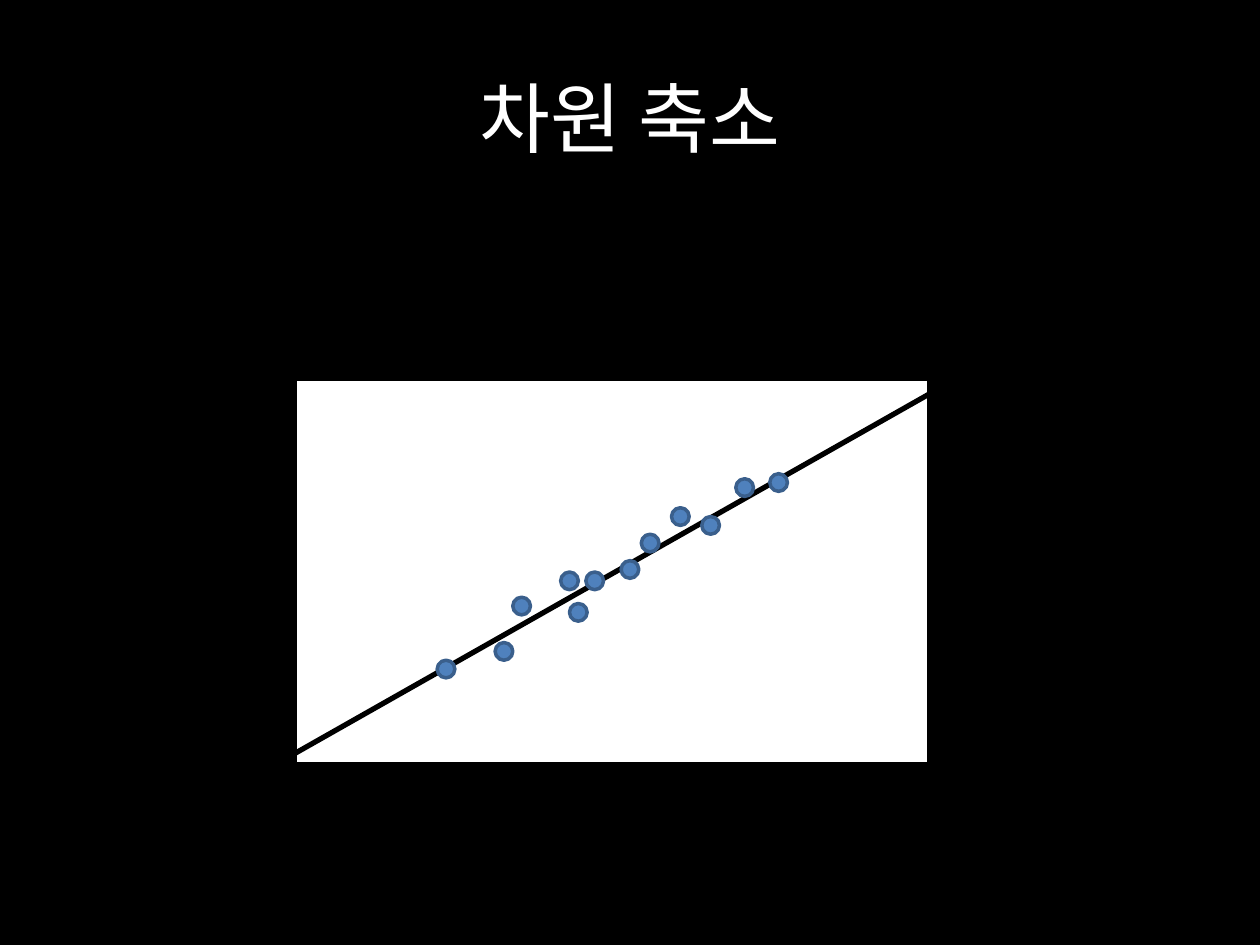
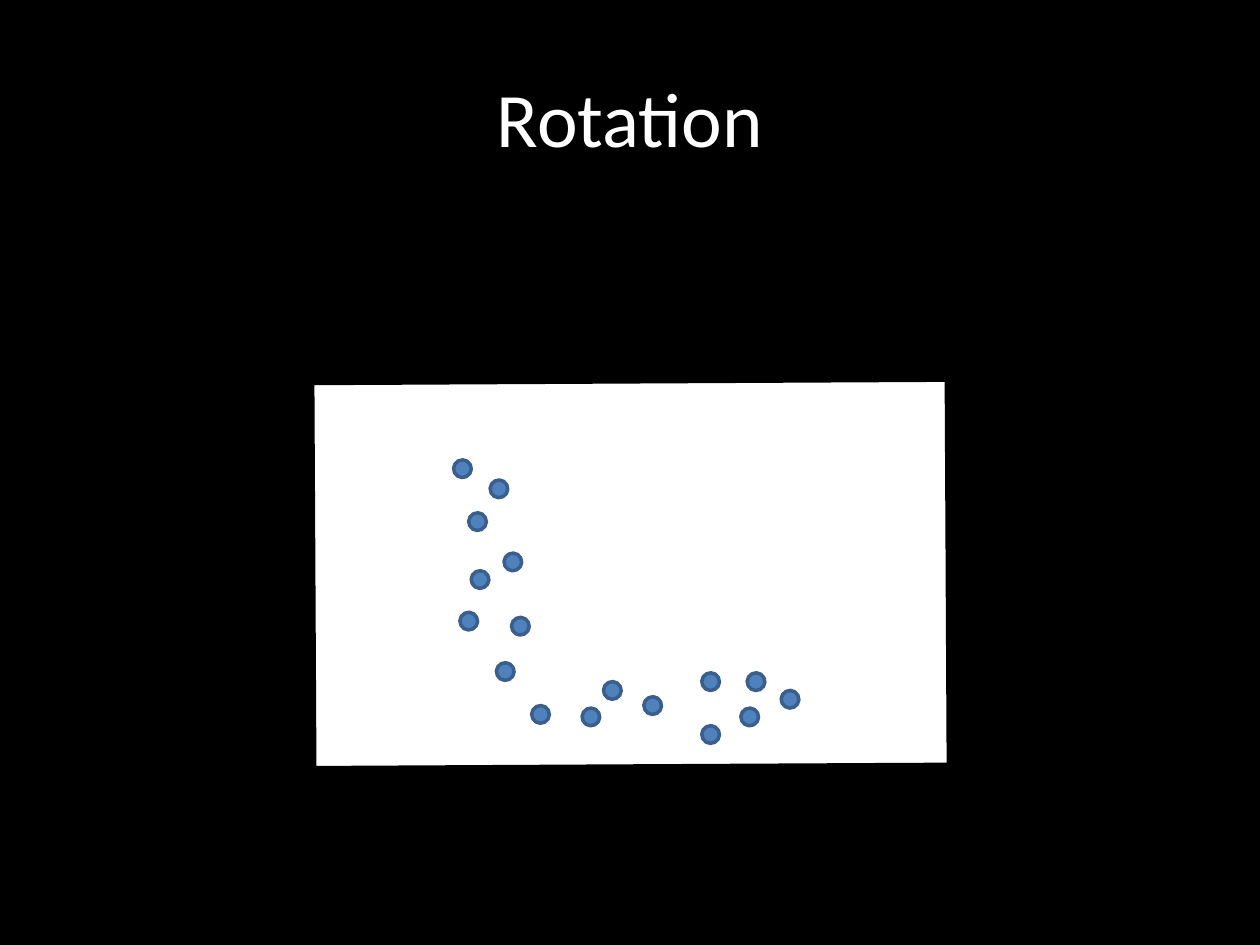
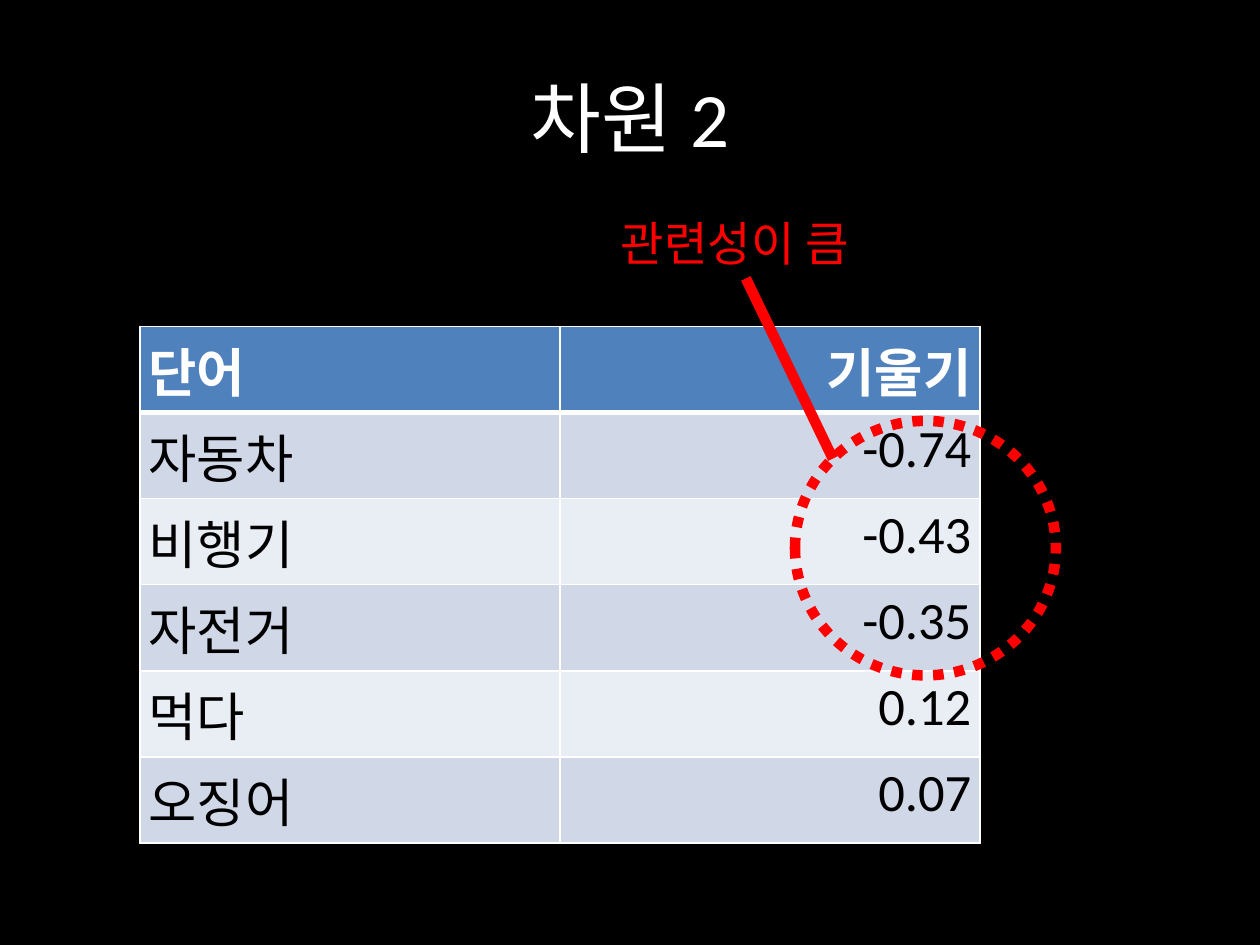
"""Build three slides on dimension reduction, rotation and word loadings."""
from lxml import etree
from pptx import Presentation
from pptx.dml.color import RGBColor
from pptx.enum.dml import MSO_LINE
from pptx.enum.shapes import MSO_CONNECTOR, MSO_SHAPE
from pptx.enum.text import MSO_ANCHOR, MSO_AUTO_SIZE, PP_ALIGN
from pptx.oxml.ns import qn
from pptx.util import Inches, Pt

RECTANGLE, OVAL = MSO_SHAPE.RECTANGLE, MSO_SHAPE.OVAL
STRAIGHT = MSO_CONNECTOR.STRAIGHT
DOTTED = MSO_LINE.ROUND_DOT
LEFT, CENTER, RIGHT = PP_ALIGN.LEFT, PP_ALIGN.CENTER, PP_ALIGN.RIGHT
MIDDLE = MSO_ANCHOR.MIDDLE
FIT_TEXT = MSO_AUTO_SIZE.SHAPE_TO_FIT_TEXT
BOTTOM_SIDE = 2

FONT = "Calibri"
BLACK, WHITE, RED = "000000", "FFFFFF", "FF0000"
BLUE, DARK_BLUE = "4F81BD", "3A5F8C"
BAND_COLORS = ("D0D8E8", "E9EDF4")

DOT_SIZE = 0.14
PLOT_WIDTH, PLOT_HEIGHT = 5.03, 3.05
TABLE_LEFT, TABLE_TOP, TABLE_WIDTH, TABLE_HEIGHT = 1.11, 2.59, 6.67, 3.45

CORRELATED_DOTS = [
    (3.47, 5.24), (3.93, 5.1), (4.52, 4.79), (4.45, 4.54), (4.07, 4.74),
    (4.93, 4.45), (4.65, 4.54), (5.09, 4.24), (5.57, 4.1), (5.84, 3.8),
    (5.33, 4.03), (6.11, 3.76),
]
ROTATED_DOTS = [
    (3.6, 3.65), (3.89, 3.81), (4.62, 5.62), (5.11, 5.53), (4.79, 5.41),
    (4.06, 4.9), (3.94, 5.26), (4.22, 5.6), (3.65, 4.86), (3.72, 4.07),
    (3.74, 4.53), (4, 4.39), (5.57, 5.34), (5.57, 5.76), (5.88, 5.62),
    (5.93, 5.34), (6.2, 5.48),
]
WORD_SLOPES = [
    ("단어", "기울기"),
    ("자동차", "-0.74"),
    ("비행기", "-0.43"),
    ("자전거", "-0.35"),
    ("먹다", "0.12"),
    ("오징어", "0.07"),
]


def rgb(color):
    """Turn a hex string into a colour."""
    return RGBColor.from_string(color)


def paint_line(line, color, width):
    """Set the colour and the width of a line."""
    line.color.rgb = rgb(color)
    line.width = Pt(width)


def write(frame, text, size, color, align=LEFT, bold=False):
    """Write one run into the first paragraph of a text frame."""
    paragraph = frame.paragraphs[0]
    paragraph.alignment = align
    run = paragraph.add_run()
    run.text = text
    run.font.name = FONT
    run.font.size = Pt(size)
    run.font.bold = bold
    run.font.color.rgb = rgb(color)


def add_titled_slide(prs, text):
    """Add a title-only slide with the shared title style."""
    slide = prs.slides.add_slide(prs.slide_layouts[5])
    title = slide.shapes.title
    title.left, title.top = Inches(0.5), Inches(0.3)
    title.width, title.height = Inches(9), Inches(1.25)
    title.text_frame.vertical_anchor = MIDDLE
    write(title.text_frame, text, 44, WHITE, CENTER)
    return slide


def add_figure(shapes, kind, left, top, width, height, fill, line, weight, rotation=0):
    """Add a preset shape; without a fill colour it is see-through."""
    figure = shapes.add_shape(
        kind, Inches(left), Inches(top), Inches(width), Inches(height))
    figure.shadow.inherit = False
    figure.rotation = rotation
    if fill:
        figure.fill.solid()
        figure.fill.fore_color.rgb = rgb(fill)
    else:
        figure.fill.background()
    paint_line(figure.line, line, weight)
    return figure


def add_plot_area(shapes, left, top, rotation=0):
    """Add the white field behind a scatter of dots."""
    add_figure(shapes, RECTANGLE, left, top, PLOT_WIDTH, PLOT_HEIGHT,
               WHITE, BLACK, 2, rotation)


def add_dots(shapes, places, rotation=0):
    """Add one blue dot for each place."""
    for left, top in places:
        add_figure(shapes, OVAL, left, top, DOT_SIZE, DOT_SIZE,
                   BLUE, DARK_BLUE, 2, rotation)


def add_line(shapes, start, end, color, width):
    """Add a straight line between two points."""
    line = shapes.add_connector(
        STRAIGHT, *(Inches(value) for value in (*start, *end)))
    paint_line(line.line, color, width)
    etree.SubElement(line._element.spPr, qn("a:effectLst"))
    return line


def add_label(shapes, text, left, top, width, height):
    """Add a red note on a single line."""
    label = shapes.add_textbox(
        Inches(left), Inches(top), Inches(width), Inches(height))
    label.text_frame.word_wrap = False
    label.text_frame.auto_size = FIT_TEXT
    write(label.text_frame, text, 27, RED)
    return label


def add_border(cell, side, width):
    """Give one side of a cell a white border."""
    border = etree.SubElement(
        cell._tc.get_or_add_tcPr(), qn(f"a:ln{side}"), w=str(Pt(width)))
    fill = etree.SubElement(border, qn("a:solidFill"))
    etree.SubElement(fill, qn("a:srgbClr"), val=WHITE)


def format_cell(cell, text, row, column):
    """Fill, border and write one cell by its place in the table."""
    is_header = row == 0
    top_width = 3 if row == 1 else 1
    bottom_width = 3 if is_header else 1
    for side, width in zip("LRTB", (1, 1, top_width, bottom_width)):
        add_border(cell, side, width)
    cell.fill.solid()
    cell.fill.fore_color.rgb = rgb(BLUE if is_header else BAND_COLORS[(row - 1) % 2])
    cell.margin_left = cell.margin_right = Inches(0.07)
    cell.margin_top = cell.margin_bottom = Inches(0.04)
    write(cell.text_frame, text, 30, WHITE if is_header else BLACK,
          RIGHT if column else LEFT, is_header)


def add_word_table(shapes, rows):
    """Add the table of words and slopes."""
    table = shapes.add_table(
        len(rows), len(rows[0]), Inches(TABLE_LEFT), Inches(TABLE_TOP),
        Inches(TABLE_WIDTH), Inches(TABLE_HEIGHT)).table
    for row, texts in enumerate(rows):
        for column, text in enumerate(texts):
            format_cell(table.cell(row, column), text, row, column)


def build_reduction(prs):
    """Show correlated dots along one line."""
    shapes = add_titled_slide(prs, "차원 축소").shapes
    add_plot_area(shapes, 2.34, 3.01)
    add_line(shapes, (2.34, 5.98), (7.37, 3.13), BLACK, 3)
    add_dots(shapes, CORRELATED_DOTS)


def build_rotation(prs):
    """Show the rotated dots as one group."""
    plot = add_titled_slide(prs, "Rotation").shapes.add_group_shape()
    add_plot_area(plot.shapes, 2.49, 3.03, 359.7)
    add_dots(plot.shapes, ROTATED_DOTS, 32.8)


def build_second_dimension(prs):
    """Show the word slopes and ring the strongest ones below the header."""
    shapes = add_titled_slide(prs, "차원 2").shapes
    add_word_table(shapes, WORD_SLOPES)
    ring = add_figure(shapes, OVAL, 6.31, 3.34, 2.07, 2.02, None, RED, 6)
    ring.line.dash_style = DOTTED
    note = add_label(shapes, "관련성이 큼", 4.83, 1.65, 2.18, 0.56)
    pointer = add_line(shapes, (5.92, 2.21), (6.61, 3.64), RED, 6)
    pointer.begin_connect(note, BOTTOM_SIDE)


def main():
    """Build and save the presentation."""
    prs = Presentation()
    prs.slide_width, prs.slide_height = Inches(10), Inches(7.5)
    backdrop = prs.slide_master.background.fill
    backdrop.solid()
    backdrop.fore_color.rgb = rgb(BLACK)
    build_reduction(prs)
    build_rotation(prs)
    build_second_dimension(prs)
    prs.save("out.pptx")


if __name__ == "__main__":
    main()
